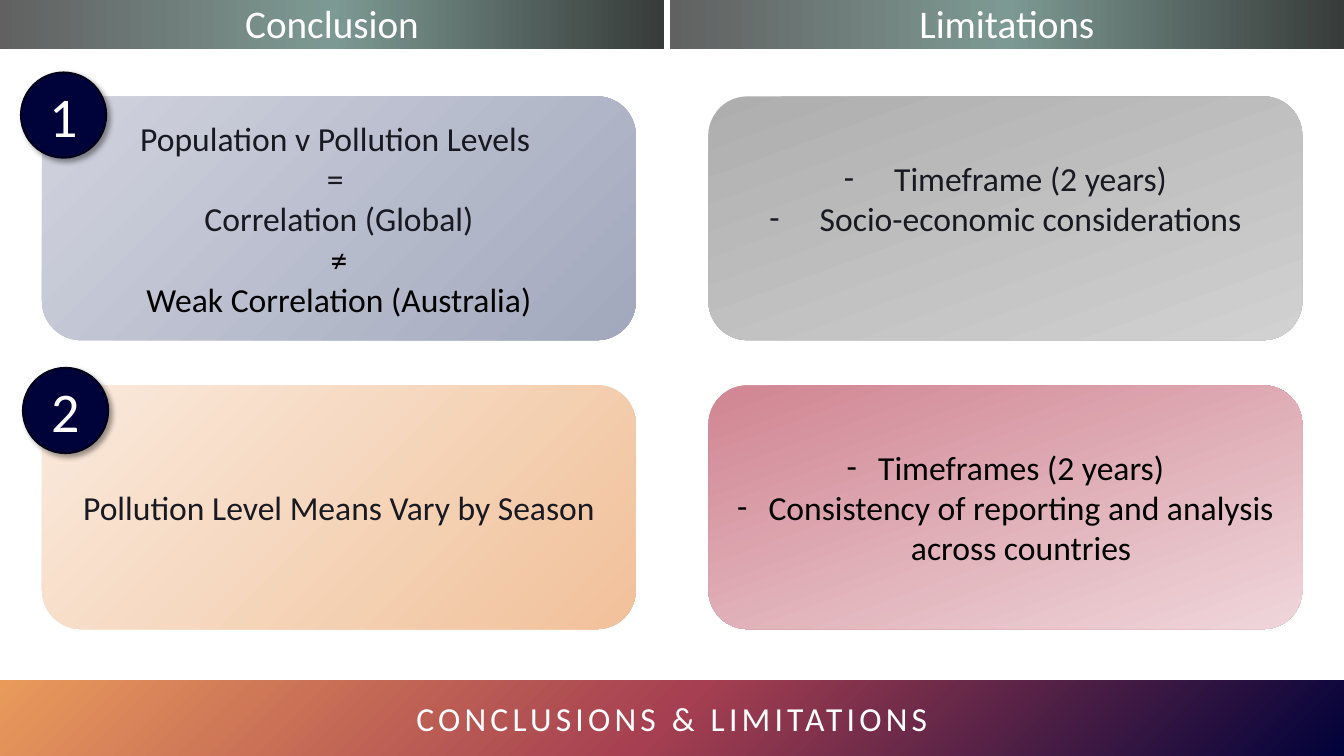
from pptx import Presentation
from pptx.dml.color import RGBColor
from pptx.enum.shapes import MSO_SHAPE
from pptx.enum.text import MSO_ANCHOR, PP_ALIGN
from pptx.oxml import parse_xml
from pptx.oxml.ns import nsdecls, qn
from pptx.util import Pt

RECT, ROUND, OVAL = MSO_SHAPE.RECTANGLE, MSO_SHAPE.ROUNDED_RECTANGLE, MSO_SHAPE.OVAL
CENTER, MIDDLE = PP_ALIGN.CENTER, MSO_ANCHOR.MIDDLE
FONT = "Calibri"
NS = nsdecls("a")
HEX = {
    "white": "FFFFFF", "black": "000000", "ink": "181921",
    "navy": "00023A", "edge": "000119", "wine": "A53F51", "amber": "E99A5B",
    "slate": "373C3A", "sage": "7D9993", "smoke": "616161",
    "blue": "A2A8BD", "mist": "D1D3DE", "peach": "F1C19A", "cream": "FAEADD",
    "gray": "AEAEAE", "silver": "D1D1D1", "rose": "D08592", "blush": "EFD6DB",
}
# Gradients that spread from the bottom right corner
CORNER = '<a:path path="circle"><a:fillToRect l="100000" t="100000"/></a:path>'


class Deck:
    def __init__(self):
        self.prs = Presentation()
        self.prs.slide_width, self.prs.slide_height = Pt(960), Pt(540)
        self.slide = self.prs.slides.add_slide(self.prs.slide_layouts[5])

    def shade(self, shape, names, angle=None):
        """Fill with evenly spaced stops: linear at angle, or from the corner."""
        step = 100000 // (len(names) - 1)
        stops = "".join(
            f'<a:gs pos="{i * step}"><a:srgbClr val="{HEX[name]}"/></a:gs>'
            for i, name in enumerate(names))
        way = CORNER if angle is None else f'<a:lin ang="{angle * 60000}" scaled="0"/>'
        grad = parse_xml(
            f'<a:gradFill {NS} rotWithShape="1"><a:gsLst>{stops}</a:gsLst>{way}</a:gradFill>')
        props = shape._element.spPr
        effect = props.find(qn("a:effectLst"))
        if effect is None:
            props.append(grad)
        else:
            effect.addprevious(grad)

    def shape(self, kind, box):
        shape = self.slide.shapes.add_shape(kind, *map(Pt, box))
        shape.shadow.inherit = False
        return shape

    def text(self, shape, lines, size, hang=None, track=None):
        """Set centred (text, colour) lines; hang is the indent of dash bullets."""
        frame = shape.text_frame
        frame.word_wrap = True
        frame.vertical_anchor = MIDDLE
        for i, (words, color) in enumerate(lines):
            para = frame.add_paragraph() if i else frame.paragraphs[0]
            para.alignment = CENTER
            if hang:
                props = para._p.get_or_add_pPr()
                props.set("marL", str(Pt(hang)))
                props.set("indent", str(-Pt(hang)))
                props.append(parse_xml(f'<a:buFont {NS} typeface="{FONT}"/>'))
                props.append(parse_xml(f'<a:buChar {NS} char="-"/>'))
            run = para.add_run()
            run.text = words
            run.font.name, run.font.size = FONT, Pt(size)
            run.font.color.rgb = RGBColor.from_string(HEX[color])
            if track:
                run._r.get_or_add_rPr().set("spc", str(track * 100))

    def title(self, text, box):
        title = self.slide.shapes.title
        title.left, title.top, title.width, title.height = map(Pt, box)
        self.shade(title, ["navy", "wine", "amber"])
        self.text(title, [(text, "white")], 24, track=3)

    def header(self, text, left, width):
        bar = self.shape(RECT, (left, -2.9, width, 38))
        self.shade(bar, ["slate", "sage", "smoke"], 180)
        bar.line.fill.background()
        self.text(bar, [(text, "white")], 28)

    def card(self, left, top, names, lines, angle=None, hang=None, lift=0):
        """Rounded panel; lift adds space under its text."""
        card = self.shape(ROUND, (left, top, 424.2, 174.2))
        card.adjustments[0] = 0.16
        self.shade(card, names, angle)
        card.line.fill.background()
        card.text_frame.margin_bottom = Pt(3.6 + lift)
        self.text(card, lines, 24, hang)

    def badge(self, text, left, top):
        disc = self.shape(OVAL, (left, top, 60.8, 60.8))
        disc.fill.solid()
        disc.fill.fore_color.rgb = RGBColor.from_string(HEX["navy"])
        disc.line.color.rgb = RGBColor.from_string(HEX["edge"])
        disc.line.width = Pt(1.5)
        disc._element.spPr.find(qn("a:effectLst")).append(parse_xml(
            f'<a:outerShdw {NS} blurRad="{Pt(4)}" dist="{Pt(3)}" dir="2700000" '
            f'algn="tl" rotWithShape="0"><a:srgbClr val="{HEX["black"]}">'
            '<a:alpha val="40000"/></a:srgbClr></a:outerShdw>'))
        self.text(disc, [(text, "white")], 40)


def main():
    deck = Deck()
    left, right = 30, 506
    upper, lower = 68.8, 275.2

    deck.title("CONCLUSIONS & LIMITATIONS", (0, 486, 960, 54))
    deck.card(left, upper, ["blue", "mist"], [
        ("Population v Pollution Levels ", "ink"),
        ("= ", "ink"),
        ("Correlation (Global)", "ink"),
        ("≠", "black"),
        ("Weak Correlation (Australia)", "black"),
    ])
    deck.card(right, upper, ["gray", "silver"], [
        ("Timeframe (2 years)", "ink"),
        ("Socio-economic considerations", "ink"),
    ], angle=70, hang=36, lift=28.8)
    deck.card(left, lower, ["peach", "cream"],
              [("Pollution Level Means Vary by Season", "ink")])
    deck.card(right, lower, ["rose", "blush"], [
        ("Timeframes (2 years)", "black"),
        ("Consistency of reporting and analysis across countries", "black"),
    ], angle=70, hang=22.5)

    deck.header("Conclusion", 0, 474.4)
    deck.header("Limitations", 478.4, 481.6)
    deck.badge("2", 16.4, 262.8)
    deck.badge("1", 15, 51.8)
    deck.prs.save("out.pptx")


if __name__ == "__main__":
    main()
